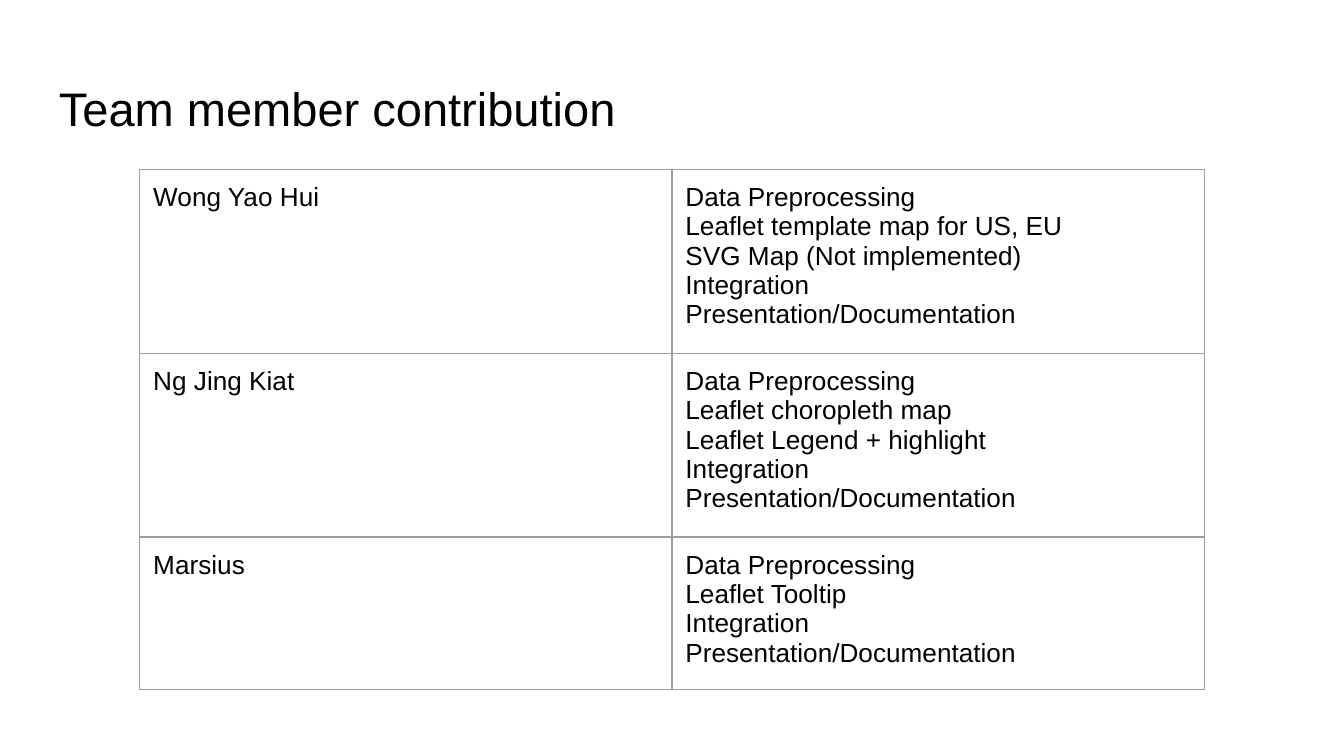
"""Build a slide with a table of team member contributions."""
from copy import deepcopy

from lxml import etree
from pptx import Presentation
from pptx.dml.color import RGBColor
from pptx.enum.text import MSO_ANCHOR
from pptx.oxml.ns import qn
from pptx.util import Inches, Pt

TOP, MIDDLE = MSO_ANCHOR.TOP, MSO_ANCHOR.MIDDLE
FONT, BLACK, GREY = "Arial", "000000", "9E9E9E"
TITLE = "Team member contribution"
CONTRIBUTIONS = [
    ("Wong Yao Hui", [
        "Data Preprocessing", "Leaflet template map for US, EU",
        "SVG Map (Not implemented)", "Integration", "Presentation/Documentation",
    ]),
    ("Ng Jing Kiat", [
        "Data Preprocessing", "Leaflet choropleth map",
        "Leaflet Legend + highlight", "Integration", "Presentation/Documentation",
    ]),
    ("Marsius", [
        "Data Preprocessing", "Leaflet Tooltip",
        "Integration", "Presentation/Documentation",
    ]),
]
COLUMN_WIDTH, ROW_HEIGHT, MARGIN = 3.96, 0.42, 0.1


def write_text(frame, lines, size, color=BLACK):
    """Write each line as a paragraph, with its end mark in the same format."""
    frame.word_wrap = True
    frame.text = "\n".join(lines)
    for paragraph in frame.paragraphs:
        run = paragraph.runs[0]
        run.font.name, run.font.size = FONT, Pt(size)
        run.font.color.rgb = RGBColor.from_string(color)
        end_mark = deepcopy(run._r.get_or_add_rPr())
        end_mark.tag = qn("a:endParaRPr")
        paragraph._p.append(end_mark)


def set_margins(holder):
    """Give a cell or text frame equal margins on all sides."""
    holder.margin_left = holder.margin_right = Inches(MARGIN)
    holder.margin_top = holder.margin_bottom = Inches(MARGIN)


def set_borders(cell, color, width):
    """Draw a solid line on the four sides of a cell."""
    properties = cell._tc.get_or_add_tcPr()
    for position, side in enumerate(("a:lnL", "a:lnR", "a:lnT", "a:lnB")):
        line = etree.Element(qn(side), w=str(Pt(width)))
        fill = etree.SubElement(line, qn("a:solidFill"))
        etree.SubElement(fill, qn("a:srgbClr"), val=color)
        properties.insert(position, line)


def add_title(slide):
    """Add the slide title."""
    box = slide.shapes.add_textbox(Inches(0.34), Inches(0.49), Inches(9.32), Inches(0.63))
    set_margins(box.text_frame)
    box.text_frame.vertical_anchor = MIDDLE
    write_text(box.text_frame, [TITLE], size=25.2)


def add_contributions(slide):
    """Add the table with one row per team member."""
    rows = len(CONTRIBUTIONS)
    table = slide.shapes.add_table(
        rows, 2, Inches(1.04), Inches(1.26),
        Inches(2 * COLUMN_WIDTH), Inches(rows * ROW_HEIGHT),
    ).table
    table.first_row = table.horz_banding = False
    for row, (member, tasks) in enumerate(CONTRIBUTIONS):
        for column, lines in enumerate(([member], tasks)):
            cell = table.cell(row, column)
            cell.fill.background()
            cell.vertical_anchor = TOP
            set_margins(cell)
            set_borders(cell, GREY, width=0.75)
            write_text(cell.text_frame, lines, size=14)


def main():
    """Create and save the presentation."""
    presentation = Presentation()
    presentation.slide_width = Inches(10)
    presentation.slide_height = Inches(10 * 9 / 16)
    slide = presentation.slides.add_slide(presentation.slide_layouts[6])
    add_title(slide)
    add_contributions(slide)
    presentation.save("out.pptx")


if __name__ == "__main__":
    main()
